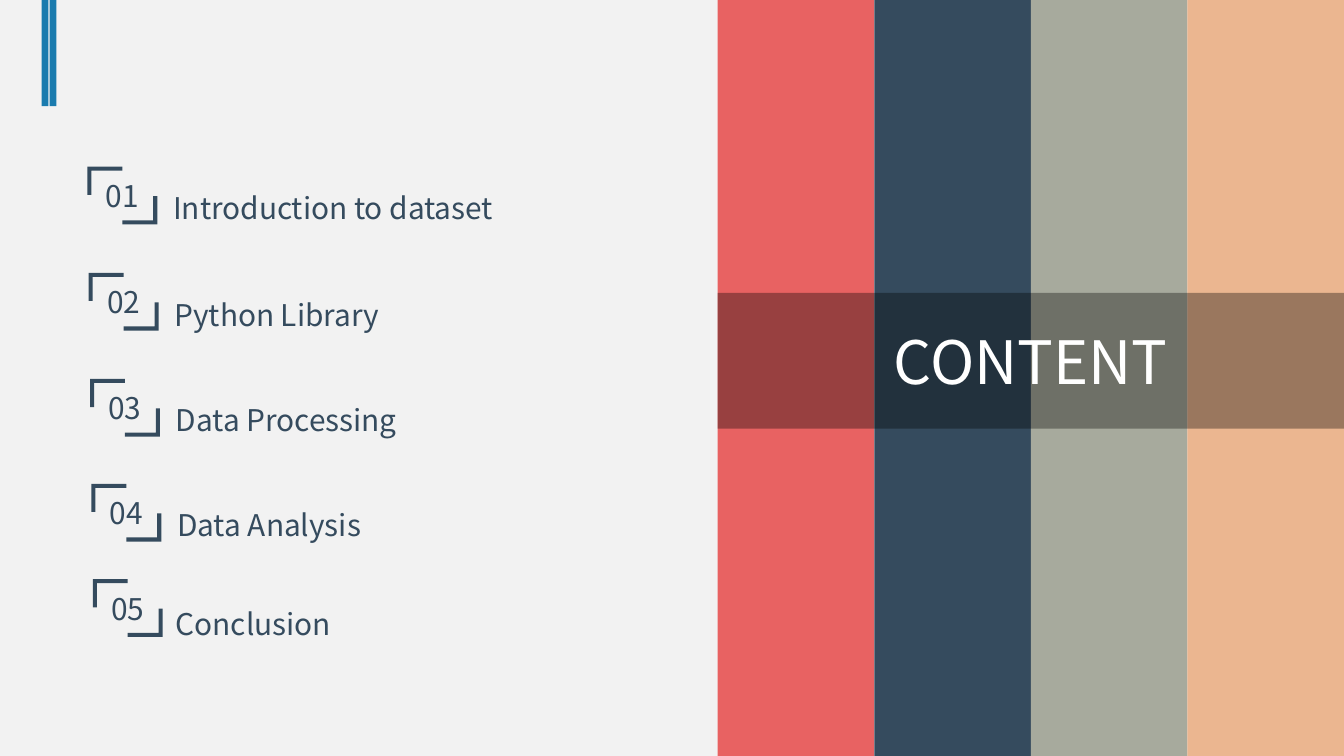
from lxml import etree
from pptx import Presentation
from pptx.dml.color import RGBColor
from pptx.enum.shapes import MSO_SHAPE
from pptx.enum.text import MSO_ANCHOR, PP_ALIGN
from pptx.oxml.ns import qn
from pptx.util import Inches, Pt

RECT = MSO_SHAPE.RECTANGLE
MIDDLE = MSO_ANCHOR.MIDDLE
CENTER = PP_ALIGN.CENTER
LEFT = PP_ALIGN.LEFT

FONT = "Noto Sans CJK SC"
PAPER = RGBColor(0xF2, 0xF2, 0xF2)
BLUE = RGBColor(0x1A, 0x7B, 0xAE)
RED = RGBColor(0xE8, 0x62, 0x62)
NAVY = RGBColor(0x35, 0x4B, 0x5E)
SAGE = RGBColor(0xA7, 0xAA, 0x9D)
SAND = RGBColor(0xEB, 0xB6, 0x90)
BLACK = RGBColor(0, 0, 0)
WHITE = RGBColor(0xFF, 0xFF, 0xFF)

WIDE = 10
HIGH = WIDE * 9 / 16
PANEL = 5.34  # left edge of the striped panel

# Topic, bracket top, label left, label top, label width
TOPICS = [
    ("Introduction to dataset", 1.24, 1.19, 1.36, 3.98),
    ("Python Library", 2.03, 1.20, 2.16, 4.49),
    ("Data Processing", 2.82, 1.21, 2.94, 3.98),
    ("Data Analysis", 3.60, 1.22, 3.72, 3.98),
    ("Conclusion", 4.31, 1.21, 4.46, 3.98),
]

# Bracket corners in hundredths of an inch
UPPER = [(0, 0), (26, 0), (26, 3), (3, 3), (3, 21), (0, 21)]
LOWER = [(52 - x, 43 - y) for x, y in UPPER]


def paint(shape, color):
    shape.shadow.inherit = False
    shape.fill.solid()
    shape.fill.fore_color.rgb = color
    shape.line.fill.background()


def write(shape, text, size, color, align):
    frame = shape.text_frame
    frame.word_wrap = True
    frame.text = text
    para = frame.paragraphs[0]
    para.alignment = align
    font = para.runs[0].font
    font.name, font.size = FONT, Pt(size)
    font.color.rgb = color


def add_bar(slide, left, width, height, color):
    bar = slide.shapes.add_shape(
        RECT, Inches(left), 0, Inches(width), Inches(height))
    paint(bar, color)


def add_badge(slide, left, top, text):
    pen = slide.shapes.build_freeform(*LOWER[0], scale=Inches(0.01))
    pen.add_line_segments(LOWER[1:], close=True)
    pen.move_to(*UPPER[0])
    pen.add_line_segments(UPPER[1:], close=True)
    badge = pen.convert_to_shape(Inches(left), Inches(top))
    paint(badge, NAVY)
    write(badge, text, 16, NAVY, CENTER)
    badge.text_frame.vertical_anchor = MIDDLE


def add_label(slide, left, top, width, text):
    box = slide.shapes.add_textbox(
        Inches(left), Inches(top), Inches(width), Inches(0.37))
    write(box, text, 16, NAVY, LEFT)


def set_title(slide, text):
    title = slide.shapes.title
    title.left, title.top = Inches(PANEL), Inches(2.18)
    title.width, title.height = Inches(WIDE - PANEL), Inches(1.01)
    title.fill.solid()
    title.fill.fore_color.rgb = BLACK
    tint = title.element.spPr.find(".//" + qn("a:srgbClr"))
    etree.SubElement(tint, qn("a:alpha")).set("val", "34000")
    write(title, text, 32, WHITE, CENTER)
    title.text_frame.vertical_anchor = MIDDLE
    # Bring the band in front of the stripes
    title.element.getparent().append(title.element)


def main():
    deck = Presentation()
    deck.slide_width, deck.slide_height = Inches(WIDE), Inches(HIGH)
    slide = deck.slides.add_slide(deck.slide_layouts[5])
    slide.background.fill.solid()
    slide.background.fill.fore_color.rgb = PAPER

    # Twin bars in the top corner
    for left in (0.31, 0.37):
        add_bar(slide, left, 0.05, 0.79, BLUE)

    # Numbered topics
    for i, (topic, top, left, base, width) in enumerate(TOPICS):
        add_badge(slide, 0.65 + 0.01 * i, top, f"{i + 1:02}")
        add_label(slide, left, base, width, topic)

    # Striped panel with the title band
    colors = [RED, NAVY, SAGE, SAND]
    step = (WIDE - PANEL) / len(colors)
    for i, color in enumerate(colors):
        add_bar(slide, PANEL + i * step, step, HIGH, color)
    set_title(slide, "CONTENT")

    deck.save("out.pptx")


if __name__ == "__main__":
    main()
